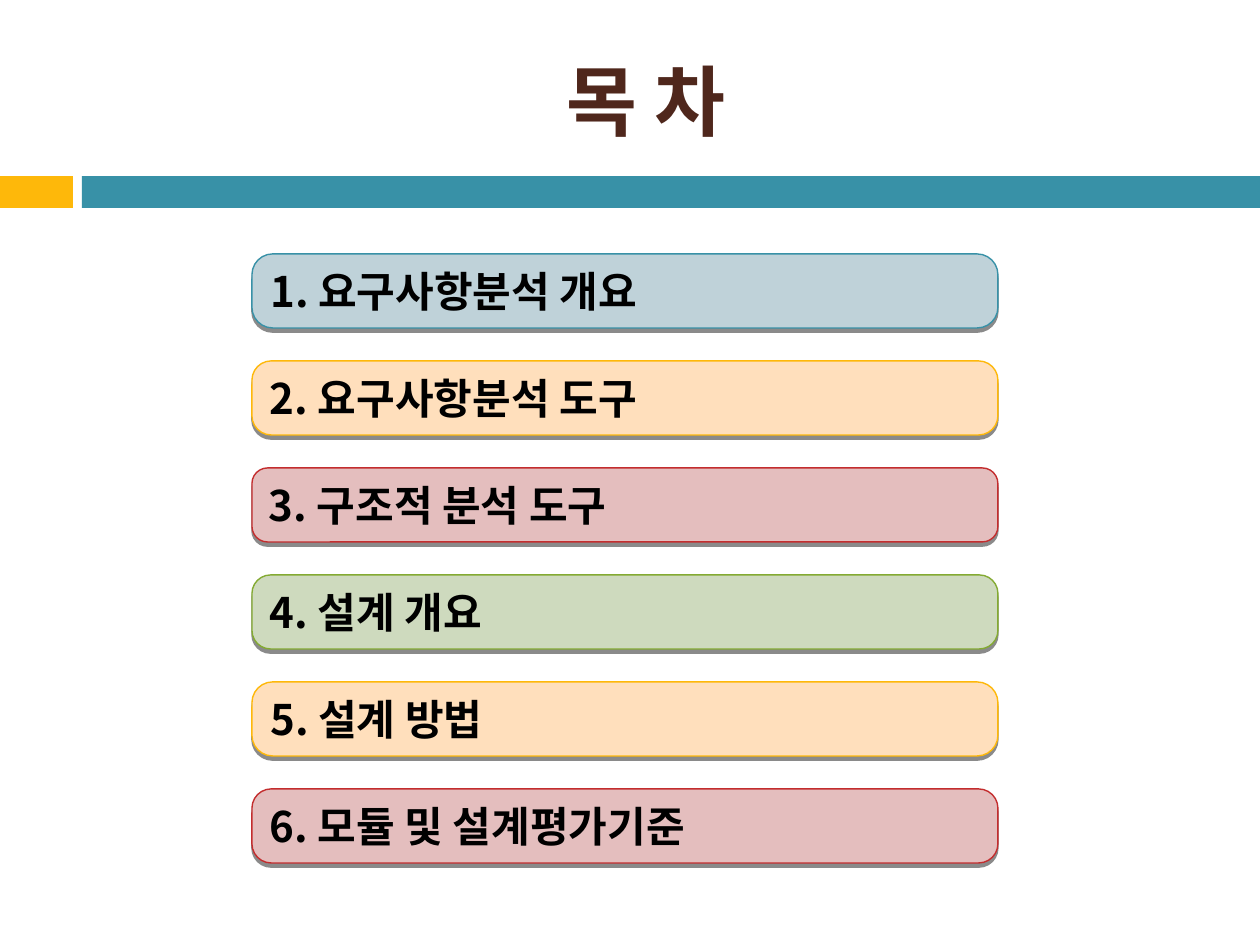
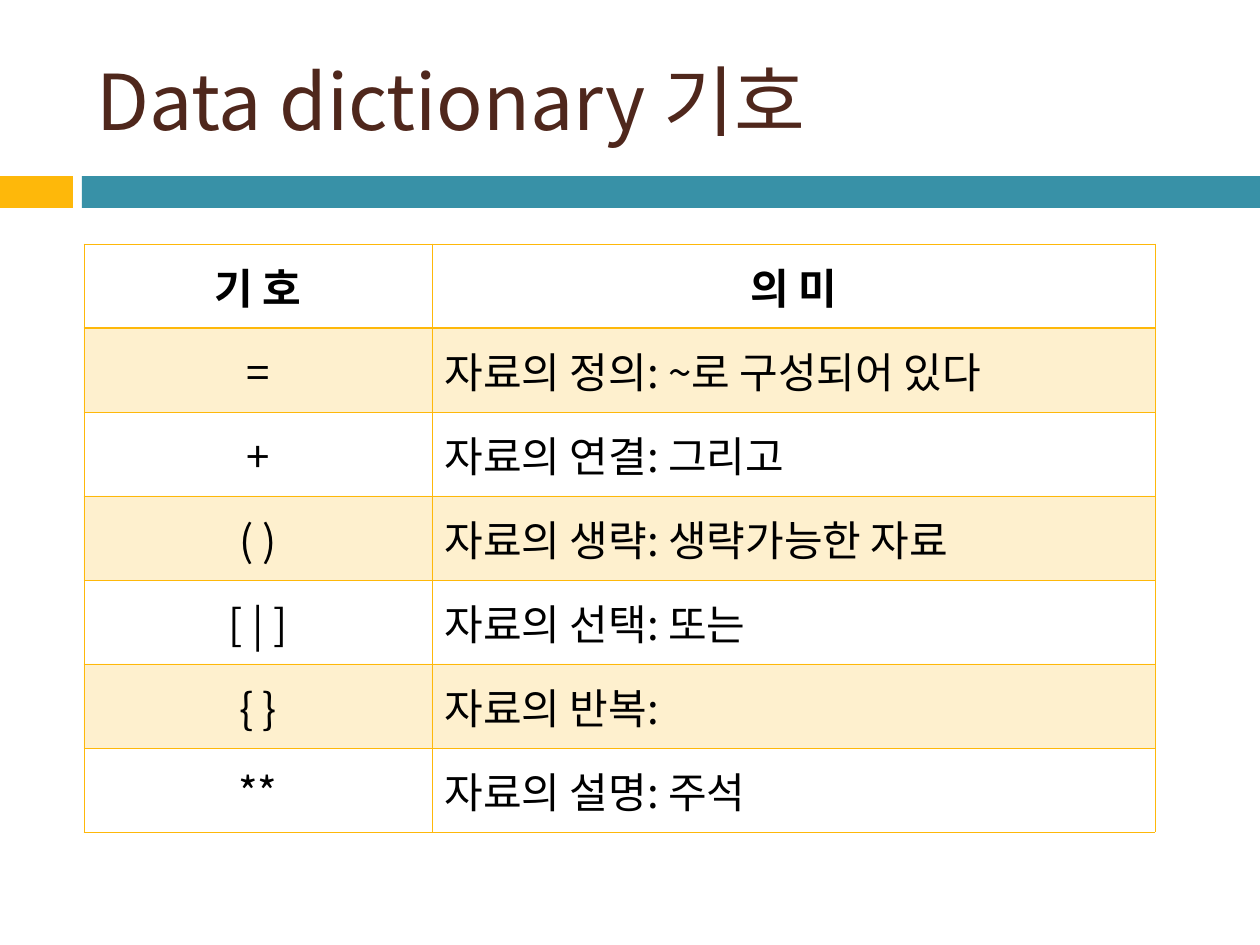
"""Build a contents slide and a data dictionary symbol slide."""
from dataclasses import dataclass

from lxml import etree
from pptx import Presentation
from pptx import util as u
from pptx.dml.color import RGBColor
from pptx.enum import shapes, text
from pptx.oxml import ns


@dataclass(frozen=True)
class Theme:
    face: str = "Noto Sans CJK KR"
    title: str = "4F271C"
    ink: str = "000000"
    teal: str = "3891A7"
    gold: str = "FEB80A"
    red: str = "C32D2E"
    green: str = "84AA33"
    sky: str = "BFD2D9"
    peach: str = "FFDFBC"
    rose: str = "E4BEBE"
    sage: str = "CEDABE"
    head: int = 44
    body: int = 24


T = Theme()
LEFT, MID = text.PP_ALIGN.LEFT, text.PP_ALIGN.CENTER
TOPICS = [
    ("1. 요구사항분석 개요", T.sky, T.teal, 0.28),
    ("2. 요구사항분석 도구", T.peach, T.gold, 0.26),
    ("3. 구조적 분석 도구", T.rose, T.red, 0.21),
    ("4. 설계 개요", T.sage, T.green, 0.25),
    ("5. 설계 방법", T.peach, T.gold, 0.28),
    ("6. 모듈 및 설계평가기준", T.rose, T.red, 0.26),
]
SIGNS = [
    ("기 호", "의 미"),
    ("=", "자료의 정의: ~로 구성되어 있다"),
    ("+", "자료의 연결: 그리고"),
    ("( )", "자료의 생략: 생략가능한 자료"),
    ("[ | ]", "자료의 선택: 또는"),
    ("{ }", "자료의 반복:"),
    ("**", "자료의 설명: 주석"),
]


def px(*vals):
    return [u.Emu(round(v * 914400 / 126)) for v in vals]


def rgb(code):
    return RGBColor.from_string(code)


def sub(node, tag, **attrs):
    return etree.SubElement(node, ns.qn(tag), {k: str(v) for k, v in attrs.items()})


def write(frame, words, size, color, bold=False, align=LEFT):
    frame.word_wrap = True
    para = frame.paragraphs[0]
    para.text = words
    para.alignment = align
    font = para.font
    font.size, font.bold, font.name = u.Pt(size), bold, T.face
    font.color.rgb = rgb(color)
    sub(para._p.pPr.find(ns.qn("a:defRPr")), "a:ea", typeface=T.face)


def block(slide, kind, box, fill):
    shape = slide.shapes.add_shape(kind, *px(*box))
    shape.shadow.inherit = False
    shape.fill.solid()
    shape.fill.fore_color.rgb = rgb(fill)
    shape.line.fill.background()
    return shape


def frame(deck, words, bold=False, align=LEFT):
    slide = deck.slides.add_slide(deck.slide_layouts[6])
    for left, wide, fill in ((0, 73, T.gold), (82, 1178, T.teal)):
        block(slide, shapes.MSO_SHAPE.RECTANGLE, (left, 176, wide, 32), fill)
    box = slide.shapes.add_textbox(*px(84, 32, 1124, 136)).text_frame
    box.vertical_anchor = text.MSO_ANCHOR.MIDDLE
    write(box, words, T.head, T.title, bold, align)
    return slide


def topic(slide, top, words, fill, edge, curve):
    bar = block(slide, shapes.MSO_SHAPE.ROUNDED_RECTANGLE, (252, top, 746, 74), fill)
    bar.adjustments[0] = curve
    bar.line.color.rgb = rgb(edge)
    bar.line.width = u.Pt(0.79)
    glow = bar._element.spPr.find(ns.qn("a:effectLst"))
    shade = sub(glow, "a:outerShdw", blurRad=0, dist=u.Pt(2.4), dir=5400000, rotWithShape=0)
    sub(sub(shade, "a:srgbClr", val=T.ink), "a:alpha", val=45000)
    bar.text_frame.vertical_anchor = text.MSO_ANCHOR.MIDDLE
    write(bar.text_frame, words, T.body, T.ink, True)


def border(cell, row):
    thick = {"T": row == 1, "B": row == 0}
    for side in "LRTB":
        width = u.Pt(0.96 if thick.get(side) else 0.45)
        line = sub(cell._tc.get_or_add_tcPr(), f"a:ln{side}", w=width)
        sub(sub(line, "a:solidFill"), "a:srgbClr", val=T.gold)


def tint(cell, row):
    if row % 2 == 0:
        cell.fill.background()
        return
    cell.fill.solid()
    cell.fill.fore_color.rgb = rgb(T.gold)
    color = cell._tc.tcPr.find(ns.qn("a:solidFill"))[0]
    sub(color, "a:alpha", val=20000)


def grid(slide, rows):
    table = slide.shapes.add_table(len(rows), 2, *px(84, 244, 1071, 84 * len(rows))).table
    table.first_row = table.horz_banding = False
    for col, wide in zip(table.columns, px(348, 723)):
        col.width = wide
    for r, row in enumerate(rows):
        table.rows[r].height = px(84)[0]
        for c, words in enumerate(row):
            cell = table.cell(r, c)
            cell.vertical_anchor = text.MSO_ANCHOR.MIDDLE
            border(cell, r)
            tint(cell, r)
            align = LEFT if r and c else MID
            write(cell.text_frame, words, T.body, T.ink, r == 0, align)


def main():
    deck = Presentation()
    deck.slide_width, deck.slide_height = px(1260, 945)
    slide = frame(deck, "목 차", True, MID)
    for i, item in enumerate(TOPICS):
        topic(slide, 254 + 107 * i, *item)
    grid(frame(deck, "Data dictionary 기호"), SIGNS)
    deck.save("out.pptx")


if __name__ == "__main__":
    main()
